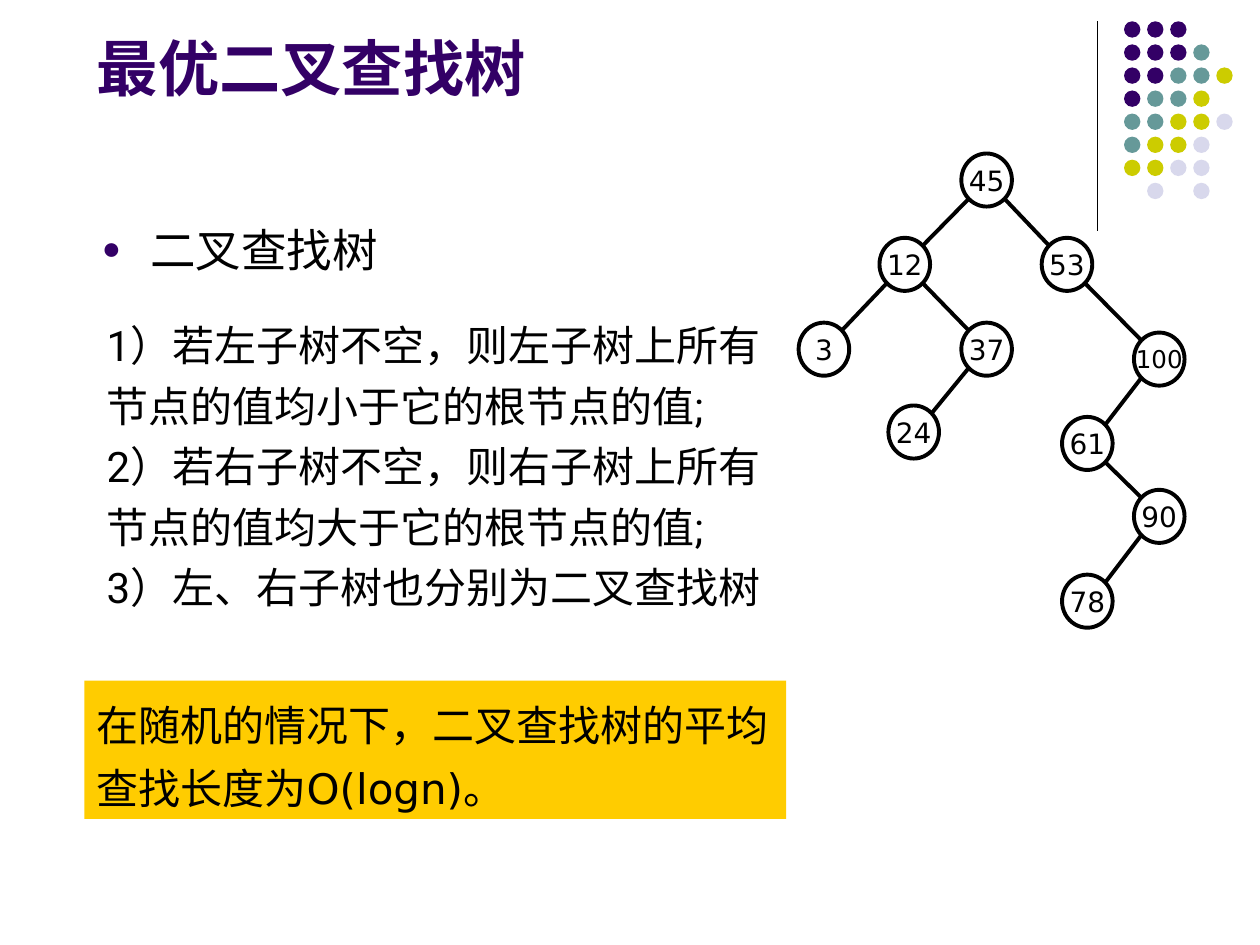
from pptx import Presentation
from pptx.util import Cm, Pt
from pptx.dml.color import RGBColor
from pptx.enum import shapes, text
from pptx.oxml.ns import qn
from lxml import etree

BLACK = RGBColor(0, 0, 0)
PURPLE = RGBColor(0x33, 0x00, 0x66)
TEAL = RGBColor(0x66, 0x99, 0x99)
LIME = RGBColor(0xCC, 0xCC, 0x00)
PALE = RGBColor(0xD8, 0xD8, 0xEC)
GOLD = RGBColor(0xFF, 0xCC, 0x00)
HAN = "Noto Sans CJK SC"

# Content
TITLE = "最优二叉查找树"
HEAD = "二叉查找树"
RULES = [
    "1）若左子树不空，则左子树上所有节点的值均小于它的根节点的值;",
    "2）若右子树不空，则右子树上所有节点的值均大于它的根节点的值;",
    "3）左、右子树也分别为二叉查找树",
]
NOTE = "在随机的情况下，二叉查找树的平均查找长度为O(logn)。"

# Tree: key -> centre in cm, and parent-child pairs
NODES = {
    45: (19.89, 3.63), 12: (18.24, 5.33), 53: (21.51, 5.33),
    3: (16.61, 7.04), 37: (19.89, 7.04), 100: (23.37, 7.24),
    24: (18.42, 8.71), 61: (21.92, 8.94), 90: (23.37, 10.41),
    78: (21.92, 12.12),
}
EDGES = [(45, 12), (45, 53), (12, 3), (12, 37), (37, 24),
         (53, 100), (100, 61), (61, 90), (90, 78)]
NODE_W, NODE_H = 1.02, 1.07

# Dot grid, one letter per dot
DOTS = ["PPP", "PPPT", "PPTTL", "PTTL", "TTLLG", "TLLG", "LLGG", " G G"]
TINTS = {"P": PURPLE, "T": TEAL, "L": LIME, "G": PALE}
DOT, STEP = 0.33, 0.465


def write(frame, lines, size, face, color=BLACK, bold=False, space=None,
          align=text.PP_ALIGN.LEFT, anchor=text.MSO_ANCHOR.TOP, wrap=True):
    frame.word_wrap = wrap
    frame.auto_size = text.MSO_AUTO_SIZE.NONE
    frame.vertical_anchor = anchor
    for i, line in enumerate(lines):
        para = frame.paragraphs[0] if i == 0 else frame.add_paragraph()
        para.alignment = align
        para.space_before = Pt(0)
        if space:
            para.line_spacing = space
        run = para.add_run()
        run.text = line
        font = run.font
        font.size, font.bold, font.name = Pt(size), bold, face
        font.color.rgb = color
        east = etree.SubElement(run._r.get_or_add_rPr(), qn("a:ea"))
        east.set("typeface", HAN)


def place(shape, *box):
    shape.left, shape.top, shape.width, shape.height = map(Cm, box)


def draw(kind, *box, fill=None, line=None):
    shape = slide.shapes.add_shape(kind, *map(Cm, box))
    shape.shadow.inherit = False
    if fill is None:
        shape.fill.background()
    else:
        shape.fill.solid()
        shape.fill.fore_color.rgb = fill
    if line is None:
        shape.line.fill.background()
    else:
        shape.line.color.rgb = BLACK
        shape.line.width = Pt(line)
    return shape


def link(*ends, width):
    line = slide.shapes.add_connector(shapes.MSO_CONNECTOR.STRAIGHT,
                                      *map(Cm, ends))
    line.line.color.rgb = BLACK
    line.line.width = Pt(width)
    etree.SubElement(line._element.spPr, qn("a:effectLst"))


def mark(para, char, color, scale, indent):
    props = para._p.get_or_add_pPr()
    props.set("marL", str(Cm(indent)))
    props.set("indent", str(-Cm(indent)))
    tint = etree.SubElement(props, qn("a:buClr"))
    etree.SubElement(tint, qn("a:srgbClr")).set("val", str(color))
    for tag, key, value in [("a:buSzPct", "val", str(scale * 1000)),
                            ("a:buFont", "typeface", "Arial"),
                            ("a:buChar", "char", char)]:
        etree.SubElement(props, qn(tag)).set(key, value)


deck = Presentation()
deck.slide_width, deck.slide_height = Cm(25.4), Cm(19.05)
slide = deck.slides.add_slide(deck.slide_layouts[1])
OVAL = shapes.MSO_SHAPE.OVAL

# Corner line and dots
link(22.12, 0.43, 22.12, 4.65, width=0.75)
for row, marks in enumerate(DOTS):
    for col, key in enumerate(marks):
        if key in TINTS:
            draw(OVAL, 22.66 + col * STEP, 0.43 + row * STEP, DOT, DOT,
                 fill=TINTS[key])

# Title and list
title, body = slide.placeholders
place(title, 1.7, 0.53, 20.4, 1.68)
write(title.text_frame, [TITLE], 35, "Arial", PURPLE, bold=True,
      anchor=text.MSO_ANCHOR.BOTTOM)
place(body, 1.8, 4.34, 21.59, 11.43)
write(body.text_frame, [HEAD], 26, HAN)
mark(body.text_frame.paragraphs[0], "●", PURPLE, 70, 0.97)

# Rules
box = slide.shapes.add_textbox(Cm(1.9), Cm(6.12), Cm(13.79), Cm(6.35))
write(box.text_frame, RULES, 24, "Roboto", space=1.2)

# Tree: edges leave and enter nodes on their diagonals
dx, dy = NODE_W * 0.354, NODE_H * 0.354
for top, low in EDGES:
    (x1, y1), (x2, y2) = NODES[top], NODES[low]
    side = dx if x2 > x1 else -dx
    link(x1 + side, y1 + dy, x2 - side, y2 - dy, width=2.25)
for key, (x, y) in NODES.items():
    node = draw(OVAL, x - NODE_W / 2, y - NODE_H / 2, NODE_W, NODE_H,
                line=2.25)
    frame = node.text_frame
    frame.margin_left = frame.margin_right = 0
    frame.margin_top = frame.margin_bottom = 0
    write(frame, [str(key)], 14 if key > 99 else 16, "DejaVu Sans",
          align=text.PP_ALIGN.CENTER, anchor=text.MSO_ANCHOR.MIDDLE,
          wrap=False)

# Note
note = draw(shapes.MSO_SHAPE.RECTANGLE, 1.7, 13.72, 14.15, 2.79, fill=GOLD)
write(note.text_frame, [NOTE], 24, "DejaVu Sans", space=1.25)

deck.save("out.pptx")
